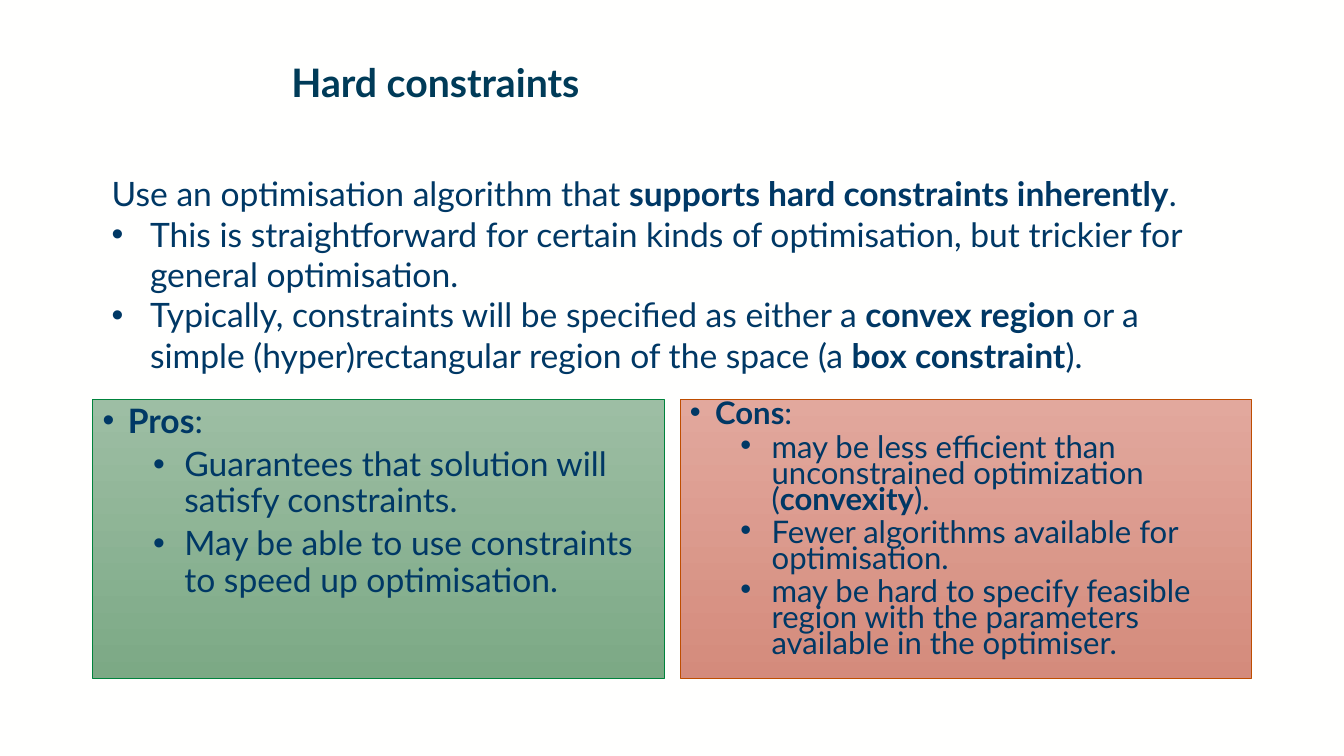
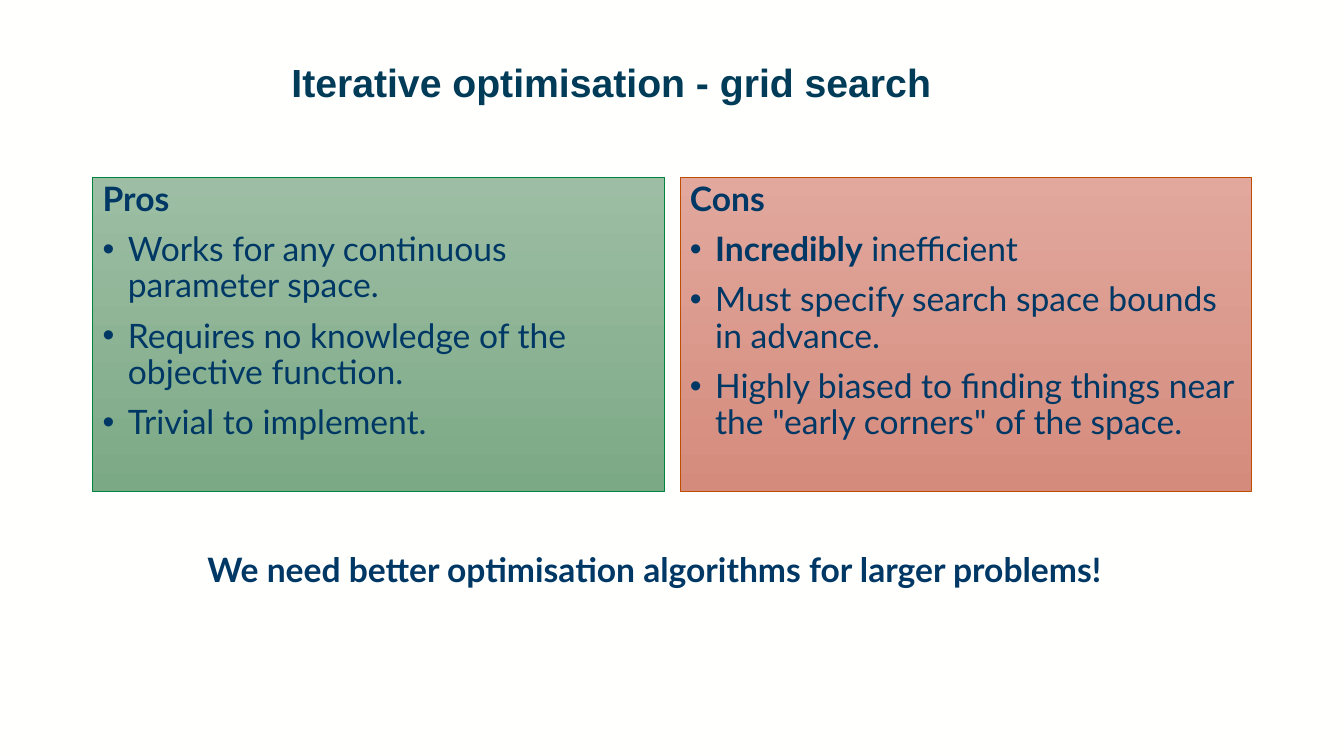
from dataclasses import dataclass

from lxml.etree import SubElement
from pptx import Presentation
from pptx.dml.color import RGBColor
from pptx.enum.shapes import MSO_SHAPE as Shape
from pptx.enum.text import MSO_ANCHOR as Anchor, MSO_AUTO_SIZE as AutoSize, PP_ALIGN as Align
from pptx.oxml.ns import qn
from pptx.util import Emu, Inches, Pt

SLIDE_WIDTH, SLIDE_HEIGHT = 13.33, 7.5
MARGIN, GAP = 0.92, 0.16
COLUMN_WIDTH = (SLIDE_WIDTH - 2 * MARGIN - GAP) / 2
BACKGROUND, TITLE_COLOUR, TEXT_COLOUR = "FFFFFE", "003B58", "003865"
FONT = "Lato"


@dataclass(frozen=True)
class Line:
    text: str
    margin: float = 0
    hanging: float = 0
    before: float = 0


@dataclass(frozen=True)
class PanelStyle:
    column: int
    top_colour: str
    bottom_colour: str
    border: str


@dataclass(frozen=True)
class Panel:
    style: PanelStyle
    lines: list[Line]
    size: float = 24
    spacing: float = 0.9


PROS = PanelStyle(0, "9DBEA4", "7CA985", "00833C")
CONS = PanelStyle(1, "E2A89D", "D48B7C", "BE4D00")


def colour(value: str) -> RGBColor:
    return RGBColor.from_string(value)


def box(left: float, top: float, width: float, height: float) -> list[Emu]:
    return [Inches(length) for length in (left, top, width, height)]


def bullet(text: str, before: float = 10) -> Line:
    return Line(text, 0.25, 0.25, before)


def sub_bullet(text: str) -> Line:
    return Line(text, 0.81, 0.31, 5)


def write(shape, lines: list[Line], *, size: float = 24, font: str = FONT,
          tint: str = TEXT_COLOUR, spacing: float = 1.0, align: Align = Align.LEFT) -> None:
    frame = shape.text_frame
    frame.word_wrap = True
    frame.auto_size = AutoSize.NONE
    frame.vertical_anchor = Anchor.TOP
    for index, line in enumerate(lines):
        paragraph = frame.add_paragraph() if index else frame.paragraphs[0]
        paragraph.alignment = align
        paragraph.line_spacing = spacing
        paragraph.space_before = Pt(line.before if index else 0)
        if line.hanging:
            properties = paragraph._p.get_or_add_pPr()
            properties.set("marL", str(Inches(line.margin)))
            properties.set("indent", str(-Inches(line.hanging)))
            SubElement(properties, qn("a:buFont")).set("typeface", "Arial")
            SubElement(properties, qn("a:buChar")).set("char", "•")
        for part, text in enumerate(line.text.split("**")):
            if text:
                run = paragraph.add_run()
                run.text = text
                run.font.name = font
                run.font.size = Pt(size)
                run.font.bold = part % 2 == 1
                run.font.color.rgb = colour(tint)


def add_slide(presentation, title: str, title_font: str = FONT):
    slide = presentation.slides.add_slide(presentation.slide_layouts[5])
    shape = slide.shapes.title
    shape.left, shape.top, shape.width, shape.height = box(2.79, 0.58, 10.07, 0.97)
    write(shape, [Line(f"**{title}**")], size=28, font=title_font, tint=TITLE_COLOUR, spacing=0.9)
    return slide


def add_text(slide, place: list[Emu], lines: list[Line], align: Align = Align.LEFT) -> None:
    write(slide.shapes.add_textbox(*place), lines, align=align)


def add_panels(slide, top: float, height: float, panels: list[Panel]) -> None:
    for panel in panels:
        style = panel.style
        left = MARGIN + style.column * (COLUMN_WIDTH + GAP)
        shape = slide.shapes.add_shape(Shape.RECTANGLE, *box(left, top, COLUMN_WIDTH, height))
        shape.shadow.inherit = False
        shape.fill.gradient()
        shape.fill.gradient_angle = 270
        for stop, value in zip(shape.fill.gradient_stops, (style.top_colour, style.bottom_colour)):
            stop.color.rgb = colour(value)
        shape.line.color.rgb = colour(style.border)
        shape.line.width = Pt(0.5)
        write(shape, panel.lines, size=panel.size, spacing=panel.spacing)


def add_hard_constraints(presentation) -> None:
    slide = add_slide(presentation, "Hard constraints")
    add_panels(slide, 3.96, 2.77, [
        Panel(PROS, [
            bullet("**Pros**:"),
            sub_bullet("Guarantees that solution will satisfy constraints."),
            sub_bullet("May be able to use constraints to speed up optimisation."),
        ]),
        Panel(CONS, [
            bullet("**Cons**:"),
            sub_bullet("may be less efficient than unconstrained optimization (**convexity**)."),
            sub_bullet("Fewer algorithms available for optimisation."),
            sub_bullet("may be hard to specify feasible region with the parameters "
                       "available in the optimiser."),
        ], size=22.2, spacing=0.7),
    ])
    add_text(slide, box(1.01, 1.67, 11.32, 2.12), [
        Line("Use an optimisation algorithm that **supports hard constraints inherently**."),
        Line("This is straightforward for certain kinds of optimisation, "
             "but trickier for general optimisation.", 0.38, 0.38),
        Line("Typically, constraints will be specified as either a **convex region** or a simple "
             "(hyper)rectangular region of the space (a **box constraint**).", 0.38, 0.38),
    ])


def add_grid_search(presentation) -> None:
    slide = add_slide(presentation, "Iterative optimisation - grid search", "Arial")
    add_panels(slide, 1.76, 3.12, [
        Panel(PROS, [
            Line("**Pros**"),
            bullet("Works for any continuous parameter space."),
            bullet("Requires no knowledge of the objective function."),
            bullet("Trivial to implement."),
        ]),
        Panel(CONS, [
            Line("**Cons**"),
            bullet("**Incredibly** inefficient"),
            bullet("Must specify search space bounds in advance."),
            bullet('Highly biased to finding things near the "early corners" of the space.'),
        ]),
    ])
    add_text(slide, box(1.23, 5.4, 10.52, 0.5),
             [Line("**We need better optimisation algorithms for larger problems!**")], Align.CENTER)


def main() -> None:
    presentation = Presentation()
    presentation.slide_width = Inches(SLIDE_WIDTH)
    presentation.slide_height = Inches(SLIDE_HEIGHT)
    background = presentation.slide_master.background.fill
    background.solid()
    background.fore_color.rgb = colour(BACKGROUND)
    add_hard_constraints(presentation)
    add_grid_search(presentation)
    presentation.save("out.pptx")


if __name__ == "__main__":
    main()
